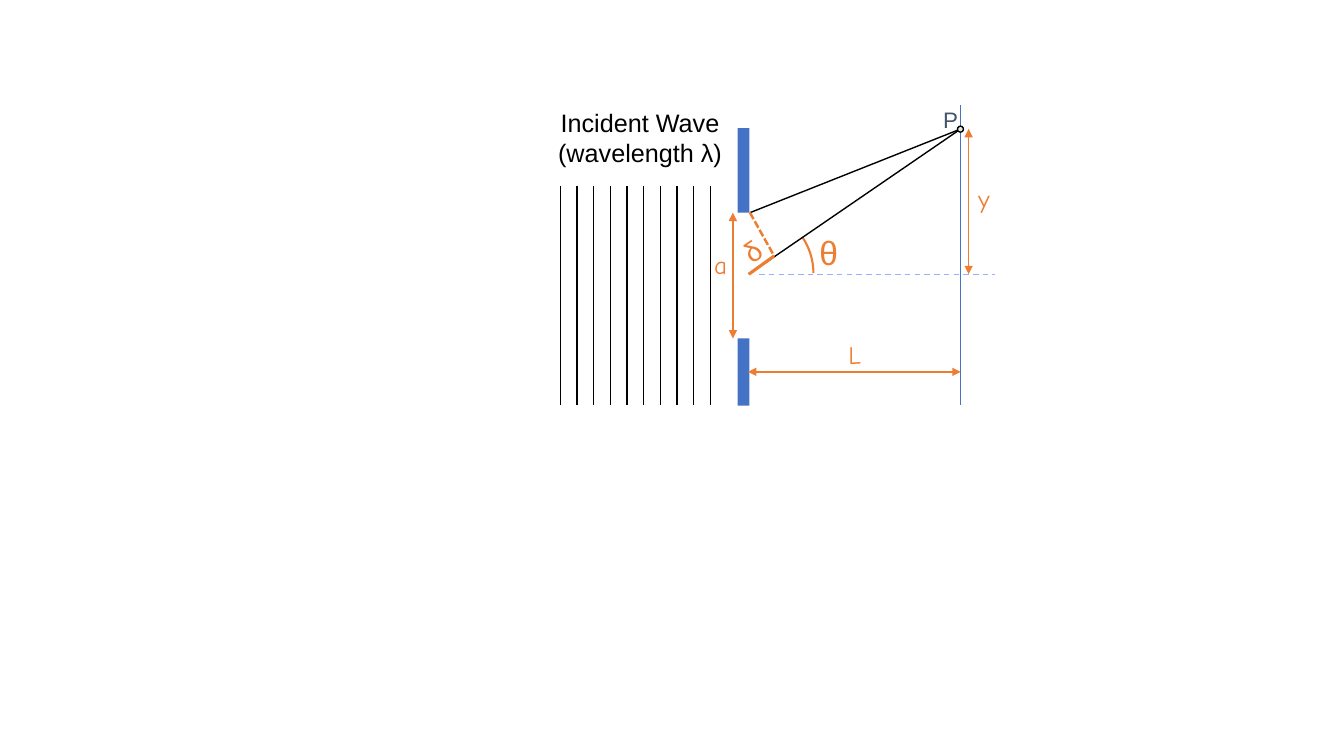
from lxml import etree
from pptx import Presentation
from pptx.dml.color import RGBColor
from pptx.enum.dml import MSO_LINE
from pptx.enum.shapes import MSO_CONNECTOR, MSO_SHAPE
from pptx.enum.text import MSO_AUTO_SIZE, PP_ALIGN
from pptx.oxml.ns import qn
from pptx.util import Cm, Pt

STRAIGHT = MSO_CONNECTOR.STRAIGHT
RECTANGLE, OVAL, ARC = MSO_SHAPE.RECTANGLE, MSO_SHAPE.OVAL, MSO_SHAPE.ARC
DASH, SHORT_DASH = MSO_LINE.DASH, MSO_LINE.SQUARE_DOT
LEFT, CENTER = PP_ALIGN.LEFT, PP_ALIGN.CENTER
FIT_SHAPE = MSO_AUTO_SIZE.SHAPE_TO_FIT_TEXT

COLORS = {
    "black": "000000",
    "white": "FFFFFF",
    "barrier": "4472C4",
    "measure": "ED7D31",
    "axis": "94B3FE",
    "point_label": "44546A",
    "point_fill": "E7E6E6",
}


def color(name):
    return RGBColor.from_string(COLORS[name])


def set_all(target, values):
    for name, value in values.items():
        setattr(target, name, value)


def format_line(line, color_name, width, dash=None):
    line.color.rgb = color(color_name)
    set_all(line, {"width": Pt(width), "dash_style": dash})


def add_line(shapes, box, start, end, color_name="black", width=1, dash=None, arrows=False):
    left, top = box
    connector = shapes.add_connector(
        STRAIGHT, Cm(left + start[0]), Cm(top + start[1]), Cm(left + end[0]), Cm(top + end[1])
    )
    format_line(connector.line, color_name, width, dash)
    properties = connector._element.spPr
    if arrows:
        outline = properties.find(qn("a:ln"))
        for tag in ("a:headEnd", "a:tailEnd"):
            etree.SubElement(outline, qn(tag), type="triangle")
    etree.SubElement(properties, qn("a:effectLst"))


def add_figure(slide, box, kind, place, fill=None, outline=None):
    left, top = box
    x, y, width, height = place
    shape = slide.shapes.add_shape(kind, Cm(left + x), Cm(top + y), Cm(width), Cm(height))
    shape.shadow.inherit = False
    if fill:
        shape.fill.solid()
        shape.fill.fore_color.rgb = color(fill)
    else:
        shape.fill.background()
    if outline:
        format_line(shape.line, *outline)
    else:
        shape.line.fill.background()
    return shape


def add_label(slide, box, place, lines, size=18, font="Arial", color_name="measure",
              rotation=0, align=LEFT, wrap=False, spacing=1.0):
    left, top = box
    x, y, width, height = place
    label = slide.shapes.add_textbox(Cm(left + x), Cm(top + y), Cm(width), Cm(height))
    label.rotation = rotation
    frame = label.text_frame
    set_all(frame, {"text": "\n".join(lines), "word_wrap": wrap, "auto_size": FIT_SHAPE})
    for paragraph in frame.paragraphs:
        set_all(paragraph, {"alignment": align, "line_spacing": spacing})
        for run in paragraph.runs:
            set_all(run.font, {"name": font, "size": Pt(size)})
            run.font.color.rgb = color(color_name)


def add_incident_wave(slide, box, front_count=10, spacing=0.42):
    add_label(slide, box, (0, 0, 4.72, 1.8), ["Incident Wave", "(wavelength λ)"],
              color_name="black", align=CENTER)
    wave_fronts = slide.shapes.add_group_shape()
    for index in range(front_count):
        x = 0.35 + index * spacing
        add_line(wave_fronts.shapes, box, (x, 7.64), (x, 2.13))


def add_slit_diagram(slide, box):
    axis_y, screen_x, point_y = 4.41, 6.96, 0.75
    point = (screen_x, point_y)
    slit_top, slit_bottom = 2.86, 6.03
    slit_edge, slit_center = (1.65, slit_top), (1.62, axis_y)
    path_foot = (2.26, 3.95)
    distance_y, offset_x, width_x = 6.87, 7.16, 1.22

    angle = add_figure(slide, box, ARC, (0, 2.76, 3.25, 3.25), outline=("measure", 1.5))
    angle.adjustments[0] = 195.61
    angle.adjustments[1] = 0
    add_figure(slide, box, RECTANGLE, (1.34, 0.73, 0.3, 6.99), fill="barrier")
    add_figure(slide, box, RECTANGLE, (1.27, slit_top, 0.56, slit_bottom - slit_top), fill="white")

    for ray_start in (slit_edge, slit_center):
        add_line(slide.shapes, box, ray_start, point)
    add_label(slide, box, (6.27, 0.12, 0.89, 0.86), ["P"], size=16,
              color_name="point_label", spacing=0.9)
    add_line(slide.shapes, box, (screen_x, 0.14), (screen_x, 7.71), "barrier")
    add_figure(slide, box, OVAL, (6.88, 0.68, 0.15, 0.15), "point_fill", ("black", 1))
    add_line(slide.shapes, box, (1.88, axis_y), (7.82, axis_y), "axis", dash=DASH)

    measures = [
        ("y", (7.16, 2.0), (offset_x, axis_y), (offset_x, point_y)),
        ("L", (3.88, 5.93), (1.6, distance_y), (screen_x, distance_y)),
        ("a", (0.5, 3.65), (width_x, slit_top), (width_x, slit_bottom)),
    ]
    for name, corner, start, end in measures:
        add_label(slide, box, (*corner, 0.85, 1.02), [name], font="Comic Neue")
        add_line(slide.shapes, box, start, end, "measure", arrows=True)

    add_line(slide.shapes, box, slit_edge, path_foot, "measure", 1.75, SHORT_DASH)
    add_line(slide.shapes, box, path_foot, slit_center, "measure", 2.25)
    add_label(slide, box, (1.27, 3.27, 0.86, 1.12), ["δ"], size=20, rotation=325.5)
    add_label(slide, box, (3.15, 3.22, 0.81, 1.27), ["θ"], size=24, wrap=True)


presentation = Presentation()
set_all(presentation, {"slide_width": Cm(33.87), "slide_height": Cm(19.05)})
slide = presentation.slides.add_slide(presentation.slide_layouts[6])
add_slit_diagram(slide, (17.25, 2.5))
add_incident_wave(slide, (13.77, 2.57))
presentation.save("out.pptx")
